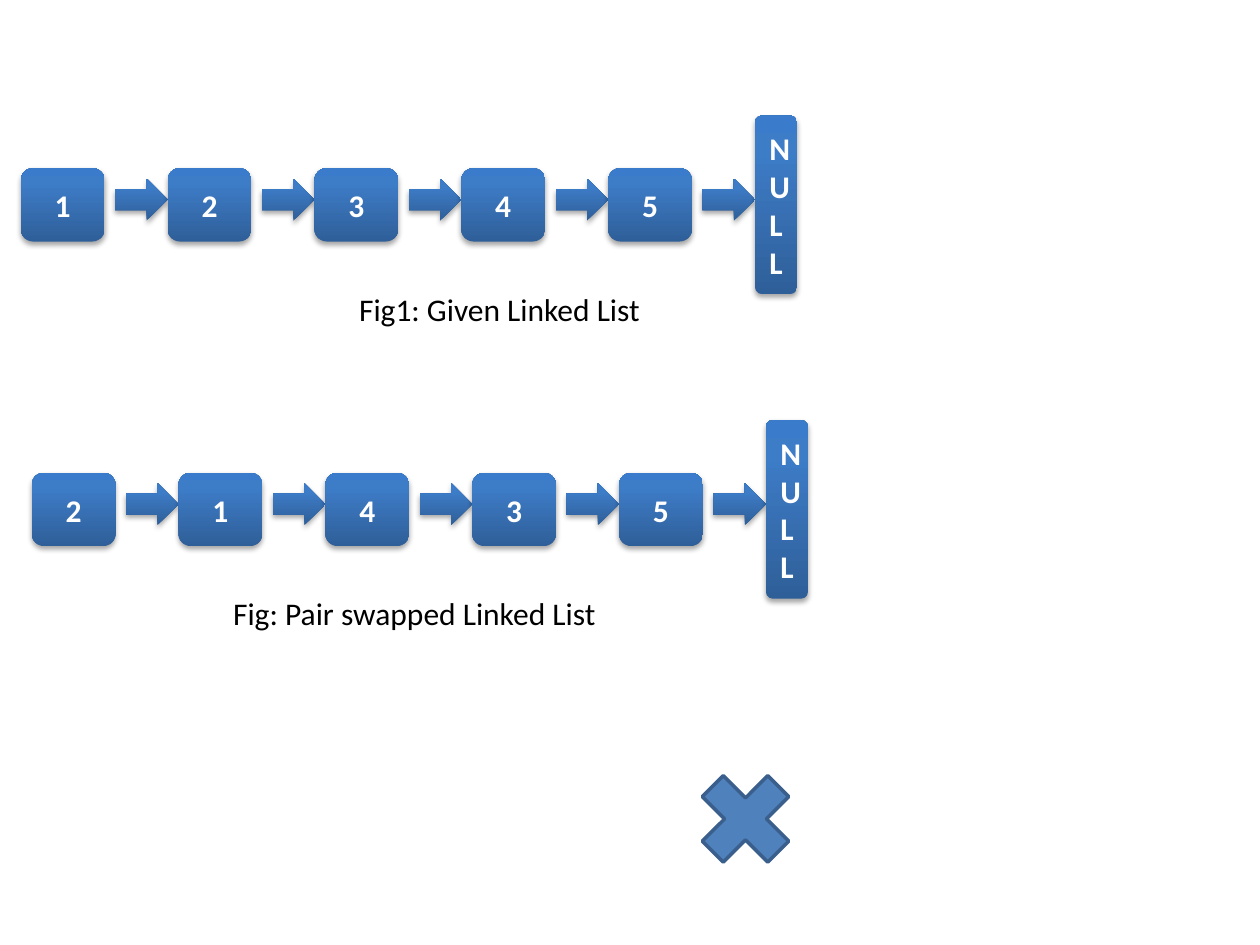
from lxml.etree import SubElement
from pptx import Presentation
from pptx.dml.color import RGBColor
from pptx.enum.shapes import MSO_SHAPE as Shape
from pptx.enum.text import MSO_ANCHOR as Anchor, MSO_AUTO_SIZE as AutoSize, PP_ALIGN as Align
from pptx.oxml.ns import qn
from pptx.util import Cm, Pt


def color(code):
    return RGBColor.from_string(code)


class ListDiagram:
    FONT, SIZE = "Calibri", Pt(18)
    GRADIENT = [(0, "2F5F99"), (80, "3D7CC7"), (100, "3A7CCB")]
    PITCH = 2.96  # distance between neighbouring nodes, in cm

    def __init__(self, page):
        self.page = page

    def set_text(self, frame, text, code, bold=False, align=Align.LEFT):
        para = frame.paragraphs[0]
        para.text, para.alignment = text, align
        font = para.font
        font.name, font.size, font.bold = self.FONT, self.SIZE, bold
        font.color.rgb = color(code)

    def add_glossy(self, parent, kind, left, top, width, height, text=""):
        box = parent.shapes.add_shape(kind, Cm(left), Cm(top), Cm(width), Cm(height))
        box.line.fill.background()
        box.shadow.inherit = False
        # Three gradient stops, running from bottom to top
        box.fill.gradient()
        box.fill.gradient_angle = 90
        properties = box._element.spPr
        stops = properties.find(".//" + qn("a:gsLst"))
        stops.clear()
        for percent, code in self.GRADIENT:
            stop = SubElement(stops, qn("a:gs"), pos=str(percent * 1000))
            SubElement(stop, qn("a:srgbClr"), val=code)
        # Soft shadow straight below
        shadow = SubElement(properties.find(qn("a:effectLst")), qn("a:outerShdw"),
                            blurRad=str(Pt(3.1)), dist=str(Pt(1.8)), dir="5400000", rotWithShape="0")
        shade = SubElement(shadow, qn("a:srgbClr"), val="000000")
        SubElement(shade, qn("a:alpha"), val="35000")
        if text:
            box.text_frame.vertical_anchor = Anchor.MIDDLE
            self.set_text(box.text_frame, text, "FFFFFF", True, Align.CENTER)

    def add_chain(self, values, left, top):
        for index, value in enumerate(values):
            node = self.page.shapes.add_group_shape()
            x = left + index * self.PITCH
            self.add_glossy(node, Shape.ROUNDED_RECTANGLE, x, top, 1.69, 1.48, value)
            self.add_glossy(node, Shape.RIGHT_ARROW, x + 1.9, top + 0.21, 1.06, 0.85)
        self.add_glossy(self.page, Shape.ROUNDED_RECTANGLE,
                        left + len(values) * self.PITCH, top - 1.06, 0.85, 3.6, "NULL")

    def add_caption(self, text, left, top, width):
        box = self.page.shapes.add_textbox(Cm(left), Cm(top), Cm(width), Cm(1.03))
        box.text_frame.word_wrap = True
        box.text_frame.auto_size = AutoSize.SHAPE_TO_FIT_TEXT
        self.set_text(box.text_frame, text, "000000")

    def add_cross(self, left, top, size):
        cross = self.page.shapes.add_shape(Shape.MATH_MULTIPLY, Cm(left), Cm(top), Cm(size), Cm(size))
        cross.shadow.inherit = False
        cross.fill.solid()
        cross.fill.fore_color.rgb = color("4F81BD")
        cross.line.color.rgb = color("3A5F8C")
        cross.line.width = Pt(2)


def main():
    deck = Presentation()
    deck.slide_width, deck.slide_height = Cm(25.4), Cm(19.05)
    diagram = ListDiagram(deck.slides.add_slide(deck.slide_layouts[6]))

    # Given list
    diagram.add_chain("12345", 0.42, 3.39)
    diagram.add_caption("Fig1: Given Linked List", 6.99, 5.72, 6.77)

    # List with swapped pairs
    diagram.add_chain("21435", 0.64, 9.53)
    diagram.add_caption("Fig: Pair swapped Linked List", 4.45, 11.85, 8.89)

    # Cross mark
    diagram.add_cross(13.76, 15.24, 2.54)

    deck.save("out.pptx")


if __name__ == "__main__":
    main()
